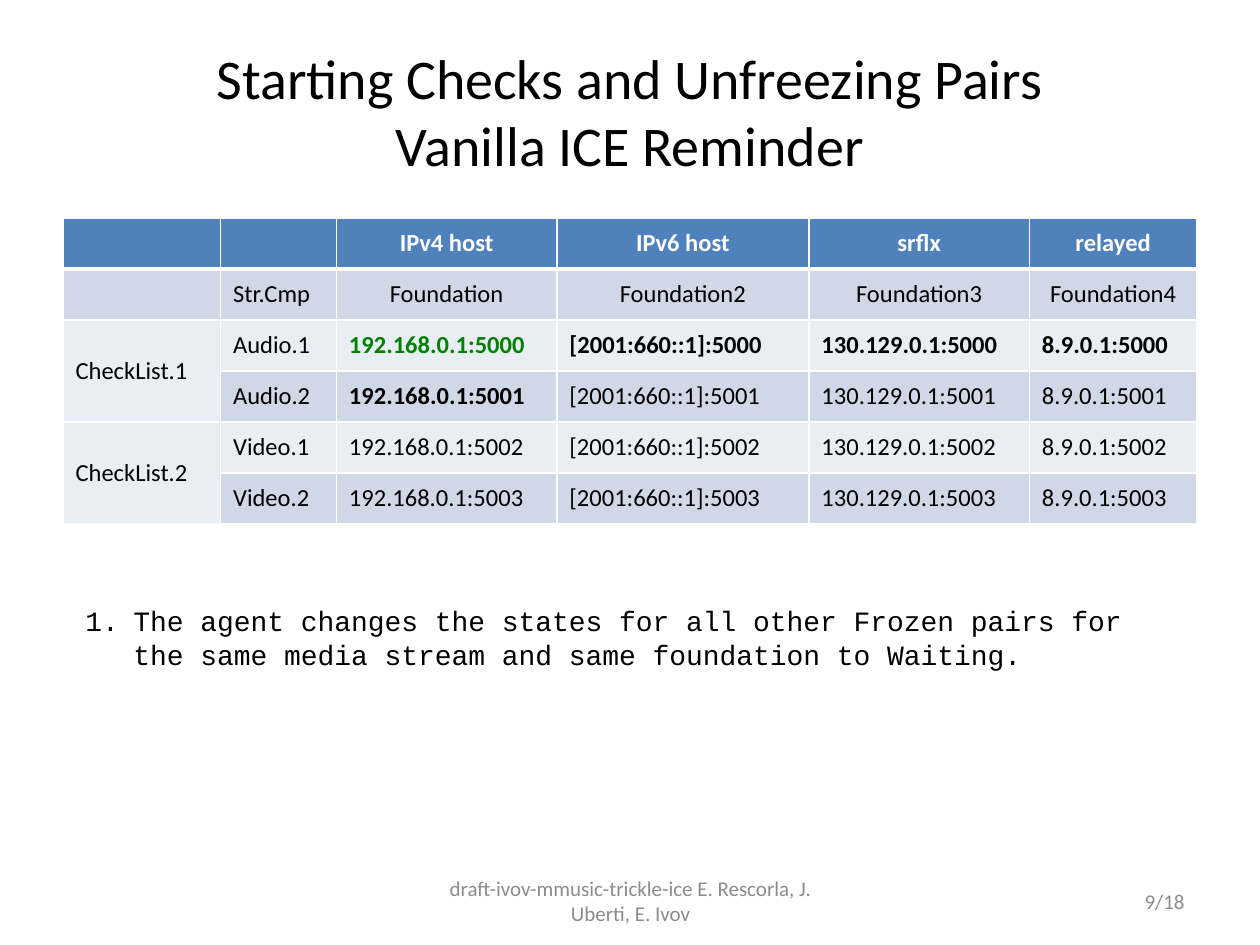
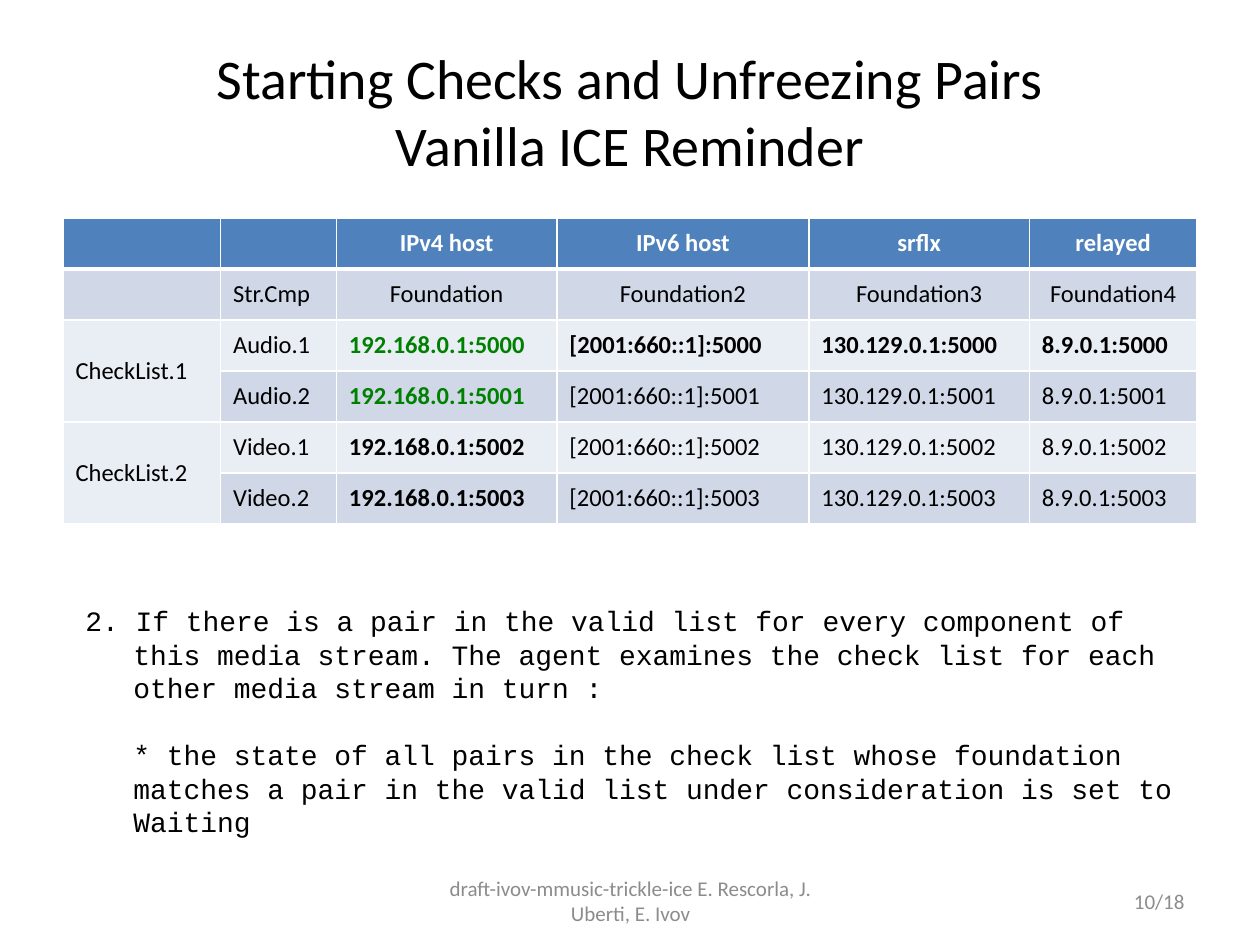
from dataclasses import dataclass

from lxml.etree import SubElement
from pptx import Presentation
from pptx.dml.color import RGBColor
from pptx.enum.text import MSO_ANCHOR, MSO_AUTO_SIZE, PP_ALIGN
from pptx.oxml.ns import qn
from pptx.util import Emu, Pt

SCALE = 9144  # EMU per px, 100 px to the inch
HUES = {"ink": "000000", "white": "FFFFFF", "grey": "8C8C8C", "green": "008000",
        "head": "4F81BD", "dark": "D0D8E8", "light": "E9EDF4"}
SANS, MONO = "Calibri", "Courier New"
INDENT = 38
TITLE = ["Starting Checks and Unfreezing Pairs", "Vanilla ICE Reminder"]
FOOTER = "draft-ivov-mmusic-trickle-ice E. Rescorla, J. Uberti, E. Ivov"
TOTAL = 18
WIDTHS = [125, 92, 175, 200, 175, 133]
HEADS = ["", "", "IPv4 host", "IPv6 host", "srflx", "relayed"]
BASES = ["", "Str.Cmp", "Foundation", "Foundation2", "Foundation3", "Foundation4"]
STREAMS = ["Audio.1", "Audio.2", "Video.1", "Video.2"]
HOSTS = ["192.168.0.1", "[2001:660::1]", "130.129.0.1", "8.9.0.1"]
PORT = 5000


@dataclass(frozen=True)
class Box:
    left: int
    top: int
    width: int
    height: int

    def emu(self) -> list[Emu]:
        return [px(n) for n in (self.left, self.top, self.width, self.height)]


@dataclass(frozen=True)
class Style:
    size: int
    font: str = SANS
    hue: str = "ink"
    bold: bool = False


@dataclass(frozen=True)
class Note:
    text: str
    hang: bool = True
    number: bool = False
    before: int = 0


@dataclass(frozen=True)
class Page:
    """Valid and waiting count the streams, from the top, of the IPv4 column."""
    number: int
    valid: int
    waiting: int
    height: int
    notes: list[Note]


PAGES = [
    Page(9, 1, 2, 118, [
        Note("The agent changes the states for all other Frozen pairs for the same "
             "media stream and same foundation to Waiting.", number=True)]),
    Page(10, 2, 4, 275, [
        Note("2. If there is a pair in the valid list for every component of this "
             "media stream. The agent examines the check list for each other media "
             "stream in turn\u00a0:"),
        Note("* the state of all pairs in the check list whose foundation matches a "
             "pair in the valid list under consideration is set to Waiting",
             hang=False, before=19)]),
]


def px(count: int) -> Emu:
    return Emu(count * SCALE)


def color(hue: str) -> RGBColor:
    return RGBColor.from_string(HUES[hue])


def add_run(para, text: str, style: Style) -> None:
    run = para.add_run()
    run.text = text
    font = run.font
    font.size, font.name, font.bold = Pt(style.size), style.font, style.bold
    font.color.rgb = color(style.hue)


def add_text(slide, box: Box):
    frame = slide.shapes.add_textbox(*box.emu()).text_frame
    frame.word_wrap = True
    return frame


def add_title(slide) -> None:
    shape = slide.shapes.title
    shape.left, shape.top, shape.width, shape.height = Box(50, 25, 900, 125).emu()
    shape.text_frame.vertical_anchor = MSO_ANCHOR.MIDDLE
    para = shape.text_frame.paragraphs[0]
    para.alignment = PP_ALIGN.CENTER
    for i, line in enumerate(TITLE):
        if i:
            para.add_line_break()
        add_run(para, line, Style(32))


def add_foot(slide, box: Box, text: str, align: PP_ALIGN) -> None:
    frame = add_text(slide, box)
    frame.vertical_anchor = MSO_ANCHOR.MIDDLE
    para = frame.paragraphs[0]
    para.alignment = align
    add_run(para, text, Style(12, hue="grey"))


def add_lines(cell, row: int) -> None:
    """Draw white cell borders, thick below the header row."""
    props = cell._tc.get_or_add_tcPr()
    thick = {(0, "lnB"), (1, "lnT")}
    for i, side in enumerate(("lnL", "lnR", "lnT", "lnB")):
        line = SubElement(props, qn(f"a:{side}"), w=str(Pt(3 if (row, side) in thick else 1)))
        fill = SubElement(line, qn("a:solidFill"))
        SubElement(fill, qn("a:srgbClr"), val=HUES["white"])
        props.insert(i, line)


def pair_style(page: Page, row: int, col: int) -> Style:
    """Pick the look of an address by its state; row and col count from 0."""
    if col == 0:
        hue = "green" if row < page.valid else "ink"
        return Style(14, hue=hue, bold=row < page.waiting)
    return Style(14, bold=row == 0)


def add_pairs(slide, page: Page) -> None:
    rows = [HEADS, BASES]
    for i, name in enumerate(STREAMS):
        group = "" if i % 2 else f"CheckList.{i // 2 + 1}"
        rows.append([group, name] + [f"{host}:{PORT + i}" for host in HOSTS])
    table = slide.shapes.add_table(len(rows), len(HEADS), *Box(50, 173, 900, 243).emu()).table
    for col, width in zip(table.columns, WIDTHS):
        col.width = px(width)
    for r, texts in enumerate(rows):
        for c, text in enumerate(texts):
            cell = table.cell(r, c)
            cell.fill.solid()
            cell.fill.fore_color.rgb = color("head" if r == 0 else "dark" if r % 2 else "light")
            cell.vertical_anchor = MSO_ANCHOR.MIDDLE
            add_lines(cell, r)
            if not text:
                continue
            style = Style(14, hue="white", bold=True) if r == 0 else Style(14)
            if r > 1 and c > 1:
                style = pair_style(page, r - 2, c - 2)
            para = cell.text_frame.paragraphs[0]
            if r < 2 and c > 1:
                para.alignment = PP_ALIGN.CENTER
            add_run(para, text, style)
    for top in (2, 4):
        table.cell(top, 0).merge(table.cell(top + 1, 0))


def add_notes(slide, page: Page) -> None:
    frame = add_text(slide, Box(58, 474, 892, page.height))
    frame.auto_size = MSO_AUTO_SIZE.SHAPE_TO_FIT_TEXT
    for i, note in enumerate(page.notes):
        para = frame.add_paragraph() if i else frame.paragraphs[0]
        para.space_before = Pt(note.before)
        props = para._p.get_or_add_pPr()
        props.set("marL", str(px(INDENT)))
        props.set("indent", str(px(-INDENT if note.hang else 0)))
        if note.number:
            SubElement(props, qn("a:buFont"), typeface=MONO)
            SubElement(props, qn("a:buAutoNum"), type="arabicPeriod")
        add_run(para, note.text, Style(16, MONO))


def main() -> None:
    deck = Presentation()
    deck.slide_width, deck.slide_height = px(1000), px(750)
    for page in PAGES:
        slide = deck.slides.add_slide(deck.slide_layouts[5])
        add_title(slide)
        add_foot(slide, Box(342, 695, 317, 40), FOOTER, PP_ALIGN.CENTER)
        add_pairs(slide, page)
        add_notes(slide, page)
        add_foot(slide, Box(717, 695, 233, 40), f"{page.number}/{TOTAL}", PP_ALIGN.RIGHT)
    deck.save("out.pptx")


if __name__ == "__main__":
    main()
